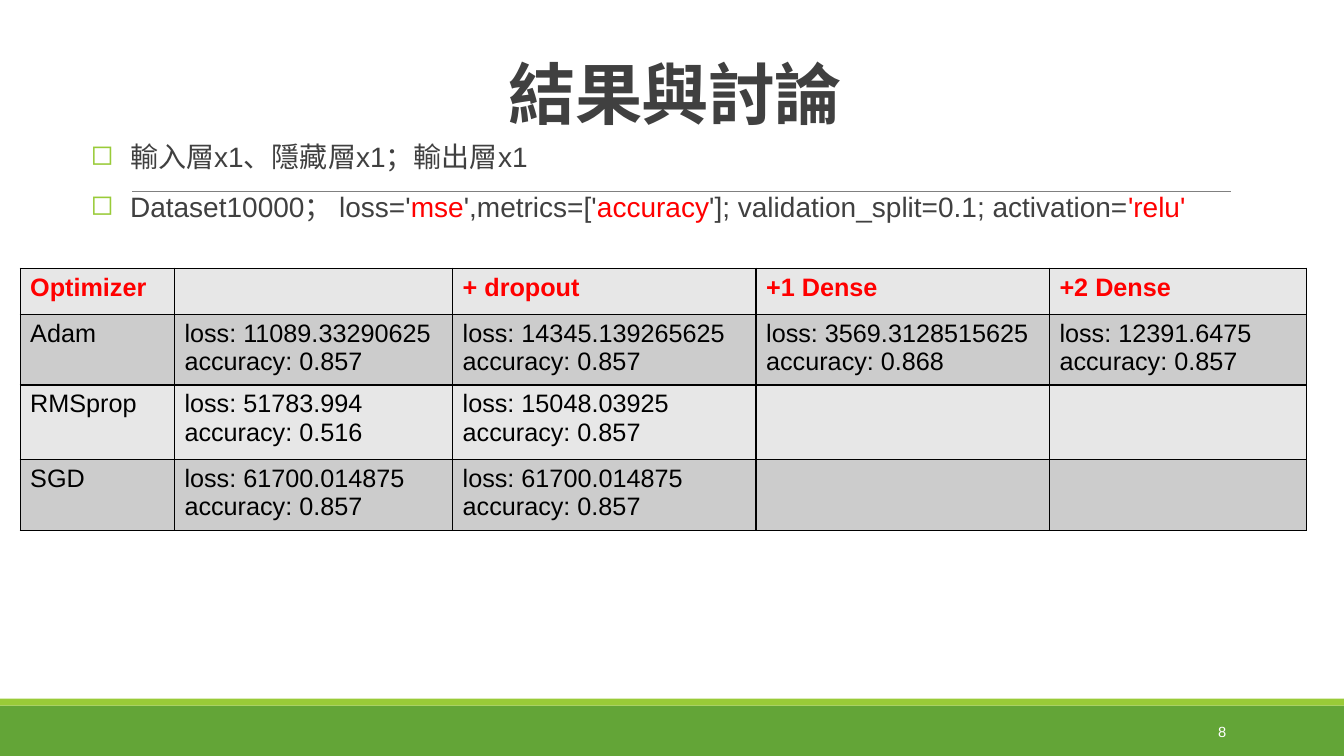
from dataclasses import dataclass

from lxml import etree
from pptx import Presentation
from pptx.dml.color import RGBColor
from pptx.enum.shapes import MSO_CONNECTOR, MSO_SHAPE
from pptx.enum.text import MSO_ANCHOR, PP_ALIGN
from pptx.oxml.ns import qn
from pptx.util import Inches, Pt

RECT, STRAIGHT = MSO_SHAPE.RECTANGLE, MSO_CONNECTOR.STRAIGHT
TOP, MIDDLE, BOTTOM = MSO_ANCHOR.TOP, MSO_ANCHOR.MIDDLE, MSO_ANCHOR.BOTTOM
LEFT, CENTER, RIGHT = PP_ALIGN.LEFT, PP_ALIGN.CENTER, PP_ALIGN.RIGHT


@dataclass(frozen=True)
class Theme:
    green: str = "63A537"
    lime: str = "99CB38"
    rule: str = "808080"
    ink: str = "404040"
    red: str = "FF0000"
    black: str = "000000"
    white: str = "FFFFFF"
    bands: tuple = ("E7E7E7", "CCCCCC")
    font: str = "Arial"
    cjk: str = "Noto Sans CJK SC"
    title: float = 48
    body: float = 20
    cell: float = 18
    page: float = 10.5


T = Theme()

TITLE = "結果與討論"
PAGE = "8"
# Every second piece of a bullet is red.
BULLETS = [
    ["輸入層x1、隱藏層x1；輸出層x1"],
    ["Dataset10000； loss='", "mse", "',metrics=['", "accuracy",
     "']; validation_split=0.1; activation=", "'relu'"],
]
HEAD = ["Optimizer", "", "+ dropout", "+1 Dense", "+2 Dense"]
# Each result is a pair: loss, accuracy.
RESULTS = {
    "Adam": [("11089.33290625", "0.857"), ("14345.139265625", "0.857"),
             ("3569.3128515625", "0.868"), ("12391.6475", "0.857")],
    "RMSprop": [("51783.994", "0.516"), ("15048.03925", "0.857")],
    "SGD": [("61700.014875", "0.857"), ("61700.014875", "0.857")],
}

# Places are percentages of the slide: left, top, width, height.
BANDS = [((0, 93.33, 100, 6.67), T.green), ((0, 92.4, 100, 0.93), T.lime)]
RULE = (9.83, 25.33, 91.6, 25.33)
TITLE_AT = (9, 4.13, 82.5, 14.13)
BODY_AT = (6.75, 18.27, 82.5, 58.67)
PAGE_AT = (81.25, 94.13, 10.73, 5.33)
TABLE_AT = (1.5, 35.47)
COLS = [11.48, 20.7, 22.58, 21.83, 19.13]
ROWS = [6.13, 9.2, 9.87, 9.2]

deck = Presentation()
deck.slide_width, deck.slide_height = Inches(13.33), Inches(7.5)
slide = deck.slides.add_slide(deck.slide_layouts[6])
shapes = slide.shapes


def place(box):
    """Turn alternating x and y percentages into lengths."""
    sides = (deck.slide_width, deck.slide_height)
    return [int(sides[i % 2] * part / 100) for i, part in enumerate(box)]


def color(code):
    return RGBColor.from_string(code)


def style(para, size, code, bold=False, name=T.font):
    font = para.font
    font.size, font.bold, font.name = Pt(size), bold, name
    font.color.rgb = color(code)


def add_text(box, anchor):
    frame = shapes.add_textbox(*place(box)).text_frame
    frame.word_wrap, frame.vertical_anchor = True, anchor
    return frame


def add_bullet(para):
    props = para._p.get_or_add_pPr()
    indent = Inches(0.39)
    props.set("marL", str(indent))
    props.set("indent", str(-indent))
    tint = etree.SubElement(props, qn("a:buClr"))
    etree.SubElement(tint, qn("a:srgbClr"), val=T.lime)
    etree.SubElement(props, qn("a:buChar"), char="◻")


def add_borders(cell):
    props = cell._tc.get_or_add_tcPr()
    for i, side in enumerate(("lnL", "lnR", "lnT", "lnB")):
        line = etree.Element(qn("a:" + side), w=str(Pt(1)))
        fill = etree.SubElement(line, qn("a:solidFill"))
        etree.SubElement(fill, qn("a:srgbClr"), val=T.black)
        props.insert(i, line)


def draw_frame():
    for box, code in BANDS:
        band = shapes.add_shape(RECT, *place(box))
        band.shadow.inherit = False
        band.fill.solid()
        band.fill.fore_color.rgb = color(code)
        band.line.fill.background()
    rule = shapes.add_connector(STRAIGHT, *place(RULE))
    rule.line.color.rgb, rule.line.width = color(T.rule), Pt(0.5)
    etree.SubElement(rule._element.spPr, qn("a:effectLst"))


def draw_text():
    para = add_text(TITLE_AT, BOTTOM).paragraphs[0]
    para.alignment, para.line_spacing = CENTER, 0.85
    style(para, T.title, T.ink, True, T.cjk)
    run = para.add_run()
    run.text = TITLE
    props = run._r.get_or_add_rPr()
    props.set("spc", "-50")
    etree.SubElement(props, qn("a:ea"), typeface=T.cjk)

    frame = add_text(BODY_AT, TOP)
    frame.margin_left = frame.margin_right = 0
    for i, parts in enumerate(BULLETS):
        para = frame.add_paragraph() if i else frame.paragraphs[0]
        add_bullet(para)
        para.alignment, para.line_spacing = LEFT, 0.9
        para.space_before, para.space_after = Pt(12), Pt(2)
        style(para, T.body, T.ink)
        for j, part in enumerate(parts):
            run = para.add_run()
            run.text = part
            if j % 2:
                run.font.color.rgb = color(T.red)

    para = add_text(PAGE_AT, MIDDLE).paragraphs[0]
    para.text, para.alignment = PAGE, RIGHT
    style(para, T.page, T.white)


def draw_table():
    grid = [HEAD]
    for name, pairs in RESULTS.items():
        texts = [f"loss: {loss}\naccuracy: {acc}" for loss, acc in pairs]
        grid.append([name] + texts + [""] * (len(COLS) - 1 - len(texts)))
    box = place(TABLE_AT + (sum(COLS), sum(ROWS)))
    table = shapes.add_table(len(ROWS), len(COLS), *box).table
    for col, share in zip(table.columns, COLS):
        col.width = place([share])[0]
    for row, share in zip(table.rows, ROWS):
        row.height = place([0, share])[1]
    for r, texts in enumerate(grid):
        for c, text in enumerate(texts):
            cell = table.cell(r, c)
            cell.text = text
            cell.fill.solid()
            cell.fill.fore_color.rgb = color(T.bands[r % 2])
            add_borders(cell)
            for para in cell.text_frame.paragraphs:
                style(para, T.cell, T.black if r else T.red, r == 0)


draw_frame()
draw_text()
draw_table()
deck.save("out.pptx")
